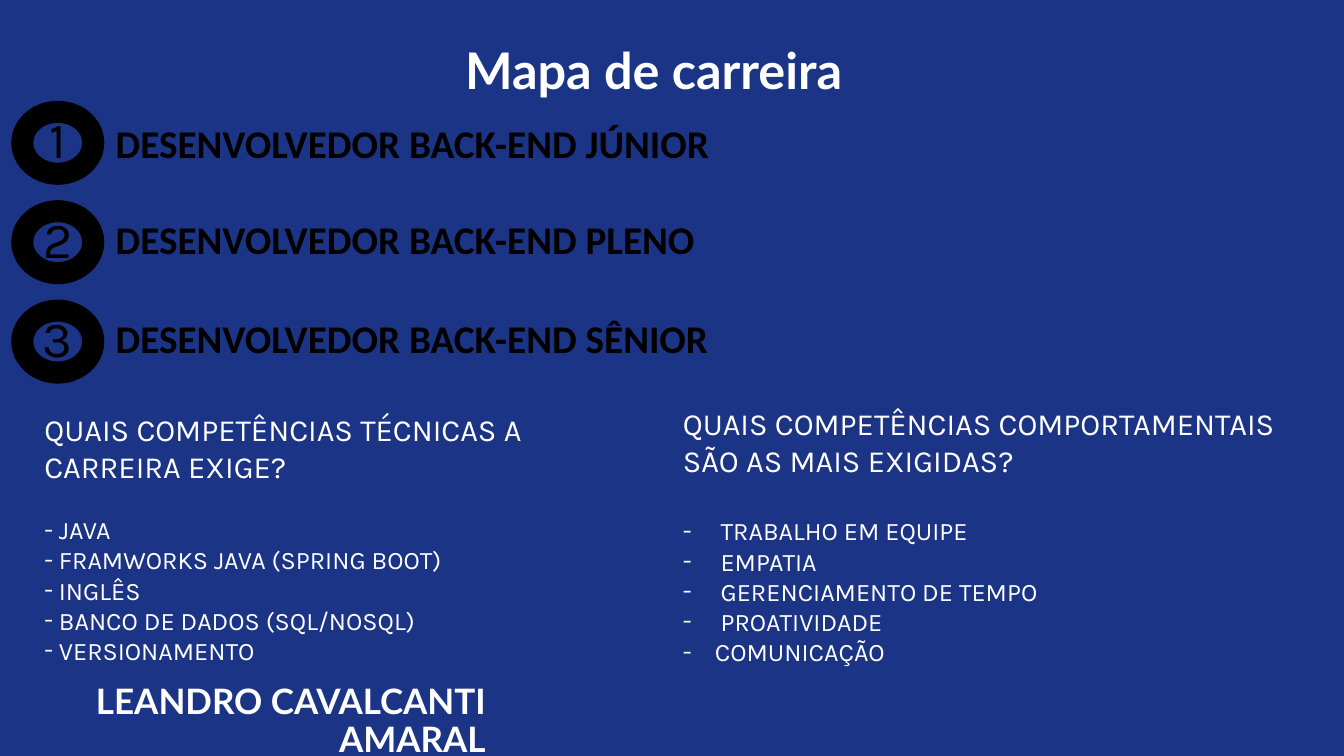
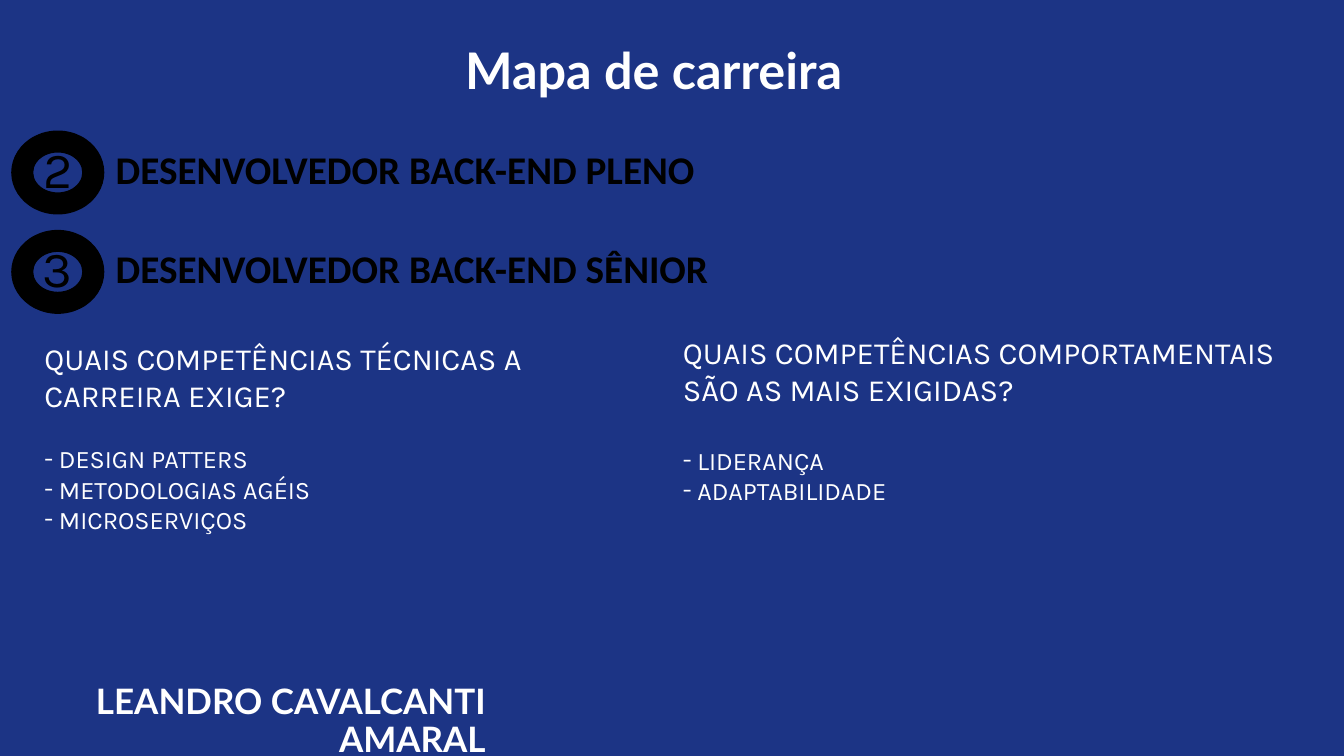
import dataclasses
import typing

import lxml.etree
import pptx
import pptx.dml.color
import pptx.enum.shapes
import pptx.enum.text
import pptx.oxml.ns
import pptx.shapes.base
import pptx.slide
import pptx.text.text
import pptx.util

Pt = pptx.util.Pt
Align = pptx.enum.text.PP_ALIGN
Anchor = pptx.enum.text.MSO_ANCHOR
Fit = pptx.enum.text.MSO_AUTO_SIZE
Frame = pptx.text.text.TextFrame

HUES = {"back": "1C3485", "light": "FFFFFF", "dark": "000000"}
TITLE = "Mapa de carreira"
AUTHOR = "LEANDRO CAVALCANTI AMARAL"
TECH = "QUAIS COMPETÊNCIAS TÉCNICAS A CARREIRA EXIGE?"
SOFT = "QUAIS COMPETÊNCIAS COMPORTAMENTAIS SÃO AS MAIS EXIGIDAS?"
PITCH = 71
RING = (8.5, 65.5, 59)
NARROW = 10.4


class Box(typing.NamedTuple):
    left: float
    top: float
    width: float
    height: float


@dataclasses.dataclass
class Step:
    digit: str
    label: str
    drop: float = 6.5


@dataclasses.dataclass
class Item:
    text: str
    dent: float = NARROW


@dataclasses.dataclass
class Panel:
    head: str
    box: Box
    gap: float
    items: list[Item]


@dataclasses.dataclass
class Page:
    top: float
    steps: list[Step]
    panels: list[Panel]


JUNIOR = Step("1", "DESENVOLVEDOR BACK-END JÚNIOR", 9)
PLENO = Step("2", "DESENVOLVEDOR BACK-END PLENO")
SENIOR = Step("3", "DESENVOLVEDOR BACK-END SÊNIOR")


def tech(top: float, height: float, *names: str) -> Panel:
    return Panel(TECH, Box(24.5, top, 397.5, height), 21.6,
                 [Item(name) for name in names])


def soft(top: float, height: float, *items: Item) -> Panel:
    return Panel(SOFT, Box(480.5, top, 476, height), 26.4, list(items))


PAGES = [
    Page(72.5, [JUNIOR, PLENO, SENIOR], [
        tech(289.5, 191.5, "JAVA", "FRAMWORKS JAVA (SPRING BOOT)", "INGLÊS",
             "BANCO DE DADOS (SQL/NOSQL)", "VERSIONAMENTO"),
        soft(285.5, 196.5, Item("TRABALHO EM EQUIPE", 27), Item("EMPATIA", 27),
             Item("GERENCIAMENTO DE TEMPO", 27), Item("PROATIVIDADE", 27),
             Item("COMUNICAÇÃO", 23)),
    ]),
    Page(93.7, [PLENO, SENIOR], [
        tech(239, 147.5, "DESIGN PATTERS", "METODOLOGIAS AGÉIS",
             "MICROSERVIÇOS"),
        soft(235, 131, Item("LIDERANÇA"), Item("ADAPTABILIDADE")),
    ]),
]


def tint(hue: str) -> pptx.dml.color.RGBColor:
    return pptx.dml.color.RGBColor.from_string(HUES[hue])


def write(frame: Frame, text: str, *, size: float, face: str,
          hue: str = "light", bold: bool = False,
          align: Align = Align.LEFT, lead: float = 1.0,
          gap: float = 0, dent: float = 0) -> None:
    para = frame.add_paragraph() if frame.text else frame.paragraphs[0]
    para.alignment = align
    para.line_spacing = lead
    para.space_before = Pt(gap)
    run = para.add_run()
    run.text = text
    run.font.size = Pt(size)
    run.font.name = face
    run.font.bold = bold
    run.font.color.rgb = tint(hue)
    props = para._p.get_or_add_pPr()
    props.set("marL", str(int(Pt(dent))))
    props.set("indent", str(-int(Pt(dent))))
    qn = pptx.oxml.ns.qn
    if dent:
        lxml.etree.SubElement(props, qn("a:buFont")).set("typeface", face)
        lxml.etree.SubElement(props, qn("a:buChar")).set("char", "-")
    else:
        lxml.etree.SubElement(props, qn("a:buNone"))


def place(shape: pptx.shapes.base.BaseShape, box: Box,
          anchor: Anchor = Anchor.TOP) -> Frame:
    shape.left, shape.top, shape.width, shape.height = map(Pt, box)
    frame = shape.text_frame
    frame.word_wrap = True
    frame.auto_size = Fit.NONE
    frame.vertical_anchor = anchor
    return frame


def label(shapes: typing.Any, box: Box,
          anchor: Anchor = Anchor.TOP) -> Frame:
    return place(shapes.add_textbox(*map(Pt, box)), box, anchor)


def draw_step(slide: pptx.slide.Slide, step: Step, top: float) -> None:
    left, width, height = RING
    badge = slide.shapes.add_group_shape()
    digit = label(badge.shapes, Box(left, top + 1.4, width, 51))
    write(digit, step.digit, size=36, face="Karla", hue="dark",
          align=Align.CENTER)
    ring = badge.shapes.add_shape(pptx.enum.shapes.MSO_SHAPE.DONUT,
                                  Pt(left), Pt(top), Pt(width), Pt(height))
    ring.shadow.inherit = False
    ring.fill.solid()
    ring.fill.fore_color.rgb = tint("dark")
    ring.line.color.rgb = tint("dark")
    ring.line.width = Pt(1)
    role = label(slide.shapes, Box(75.5, top + step.drop, 481, 41))
    write(role, step.label, size=28, face="Calibri", hue="dark", bold=True)


def draw_panel(holder: pptx.shapes.base.BaseShape, panel: Panel) -> None:
    frame = place(holder, panel.box)
    write(frame, panel.head, size=22, face="Karla")
    for rank, item in enumerate(panel.items):
        write(frame, item.text, size=18, face="Karla", dent=item.dent,
              gap=0 if rank else panel.gap)


def draw_page(deck: typing.Any, page: Page) -> None:
    slide = deck.slides.add_slide(deck.slide_layouts[3])
    title = place(slide.shapes.title, Box(45.5, 0, 843, 75), Anchor.BOTTOM)
    write(title, TITLE, size=36, face="Lato", bold=True,
          align=Align.CENTER, lead=0.9)
    for spot, panel in enumerate(page.panels, 1):
        draw_panel(slide.placeholders[spot], panel)
    for rank, step in enumerate(page.steps):
        draw_step(slide, step, page.top + rank * PITCH)
    foot = label(slide.shapes, Box(0, 493, 354, 45.5), Anchor.MIDDLE)
    write(foot, AUTHOR, size=25, face="Lato", bold=True,
          align=Align.RIGHT, lead=0.9)


def main() -> None:
    deck = pptx.Presentation()
    deck.slide_width, deck.slide_height = Pt(960), Pt(540)
    fill = deck.slide_master.background.fill
    fill.solid()
    fill.fore_color.rgb = tint("back")
    for page in PAGES:
        draw_page(deck, page)
    deck.save("out.pptx")


if __name__ == "__main__":
    main()
